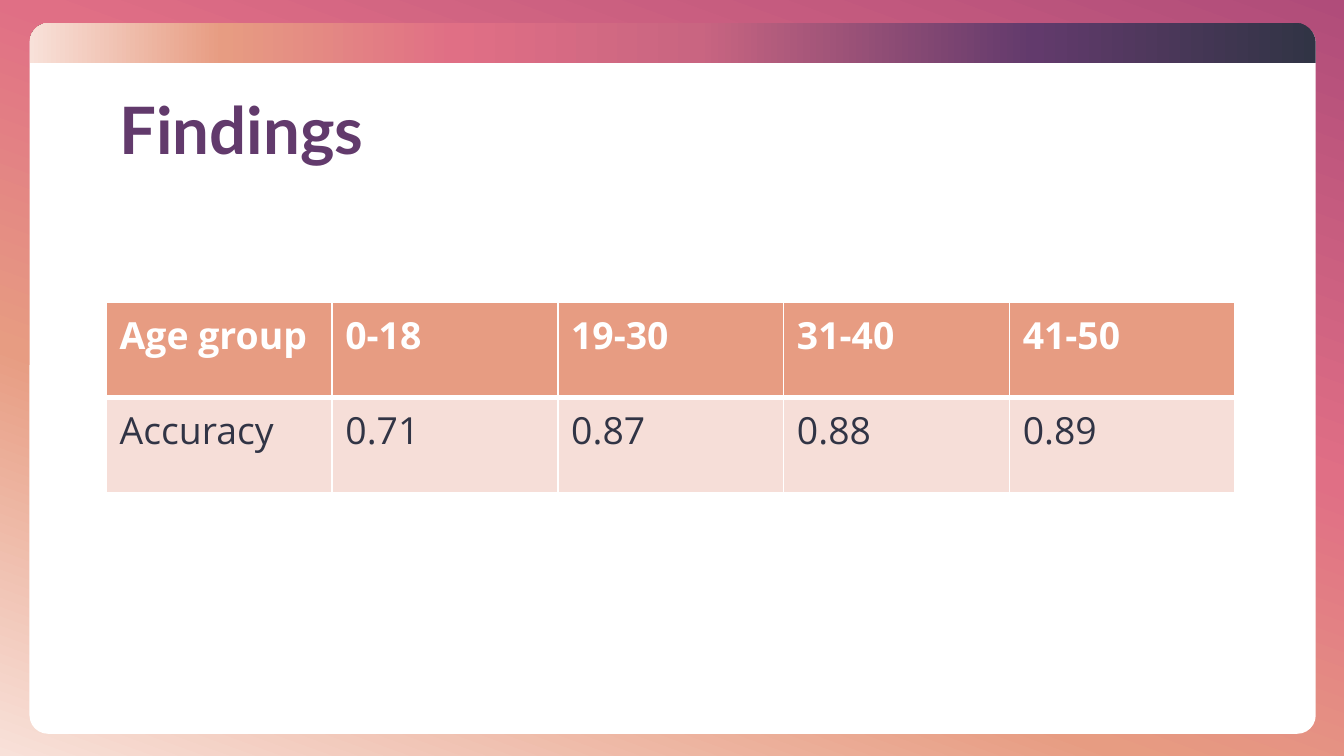
import pptx
import pptx.util
import pptx.dml.color
import pptx.enum.shapes
import pptx.enum.text
import pptx.oxml
import pptx.oxml.ns
from pptx.util import Inches

RGBColor = pptx.dml.color.RGBColor
WHITE = RGBColor(0xFF, 0xFF, 0xFF)
INK = RGBColor(0x31, 0x34, 0x45)
PURPLE = RGBColor(0x62, 0x3A, 0x6C)
PLUM = RGBColor(0xB0, 0x4C, 0x7A)
ROSE = RGBColor(0xC9, 0x65, 0x81)
PINK = RGBColor(0xE0, 0x6F, 0x85)
ORANGE = RGBColor(0xE7, 0x9C, 0x82)
CREAM = RGBColor(0xF8, 0xE1, 0xD9)
BLUSH = RGBColor(0xF6, 0xDE, 0xD8)
NAMESPACE = pptx.oxml.ns.nsdecls("a")


def paint_gradient(fill, owner, stops, clockwise_angle):
    fill.gradient()
    fill.gradient_angle = 360 - clockwise_angle
    stop_list = owner.find(".//" + pptx.oxml.ns.qn("a:gsLst"))
    for stop in list(stop_list):
        stop_list.remove(stop)
    for percent, color in stops:
        stop_list.append(pptx.oxml.parse_xml(
            f'<a:gs {NAMESPACE} pos="{percent * 1000}"><a:srgbClr val="{color}"/></a:gs>'))


def style_text(para, font_name, size, color, bold):
    for span in para.runs:
        span.font.name = font_name
        span.font.size = pptx.util.Pt(size)
        span.font.color.rgb = color
        span.font.bold = bold


deck = pptx.Presentation()
deck.slide_width = Inches(10)
deck.slide_height = Inches(10) * 9 // 16
page = deck.slides.add_slide(deck.slide_layouts[6])
paint_gradient(page.background.fill, page.element,
               [(0, PLUM), (39, PINK), (67, ORANGE), (100, CREAM)], 110)

panel = page.shapes.add_shape(
    pptx.enum.shapes.MSO_SHAPE.ROUNDED_RECTANGLE,
    Inches(0.22), Inches(0.18), Inches(9.57), Inches(5.28))
panel.adjustments[0] = 0.026
panel.fill.solid()
panel.fill.fore_color.rgb = WHITE

banner = page.shapes.add_shape(
    pptx.enum.shapes.MSO_SHAPE.ROUND_2_SAME_RECTANGLE,
    Inches(0.22), Inches(0.17), Inches(9.57), Inches(0.3))
banner.adjustments[0] = 0.5
banner.adjustments[1] = 0
paint_gradient(banner.fill, banner.element,
               [(0, INK), (22, PURPLE), (48, ROSE), (67, PINK), (85, ORANGE), (100, CREAM)], 180)

for shape in (panel, banner):
    shape.line.fill.background()
    shape.shadow.inherit = False

title_box = page.shapes.add_textbox(Inches(0.79), Inches(0.6), Inches(8.42), Inches(0.78))
title_box.text_frame.word_wrap = True
title_box.text_frame.vertical_anchor = pptx.enum.text.MSO_ANCHOR.MIDDLE
title_box.text_frame.text = "Findings"
title = title_box.text_frame.paragraphs[0]
title.line_spacing = 0.9
style_text(title, "Lato", 35, PURPLE, True)

rows = [
    ["Age group", "0-18", "19-30", "31-40", "41-50"],
    ["Accuracy", "0.71", "0.87", "0.88", "0.89"],
]
row_styles = [
    (ORANGE, WHITE, True, {"L": 1, "R": 1, "T": 1, "B": 3}),
    (BLUSH, INK, False, {"L": 1, "R": 1, "T": 3, "B": 1}),
]
table = page.shapes.add_table(
    len(rows), len(rows[0]), Inches(0.79), Inches(2.25), Inches(8.4), Inches(1.42)).table
for column in table.columns:
    column.width = Inches(1.68)
for row, values, (background, ink, bold, borders) in zip(table.rows, rows, row_styles):
    row.height = Inches(0.71)
    for cell, value in zip(row.cells, values):
        cell.text_frame.text = value
        style_text(cell.text_frame.paragraphs[0], "Open Sans", 20, ink, bold)
        properties = cell._tc.get_or_add_tcPr()
        for side, points in borders.items():
            properties.append(pptx.oxml.parse_xml(
                f'<a:ln{side} {NAMESPACE} w="{pptx.util.Pt(points)}"><a:solidFill>'
                f'<a:srgbClr val="{WHITE}"/></a:solidFill></a:ln{side}>'))
        cell.fill.solid()
        cell.fill.fore_color.rgb = background

deck.save("out.pptx")
